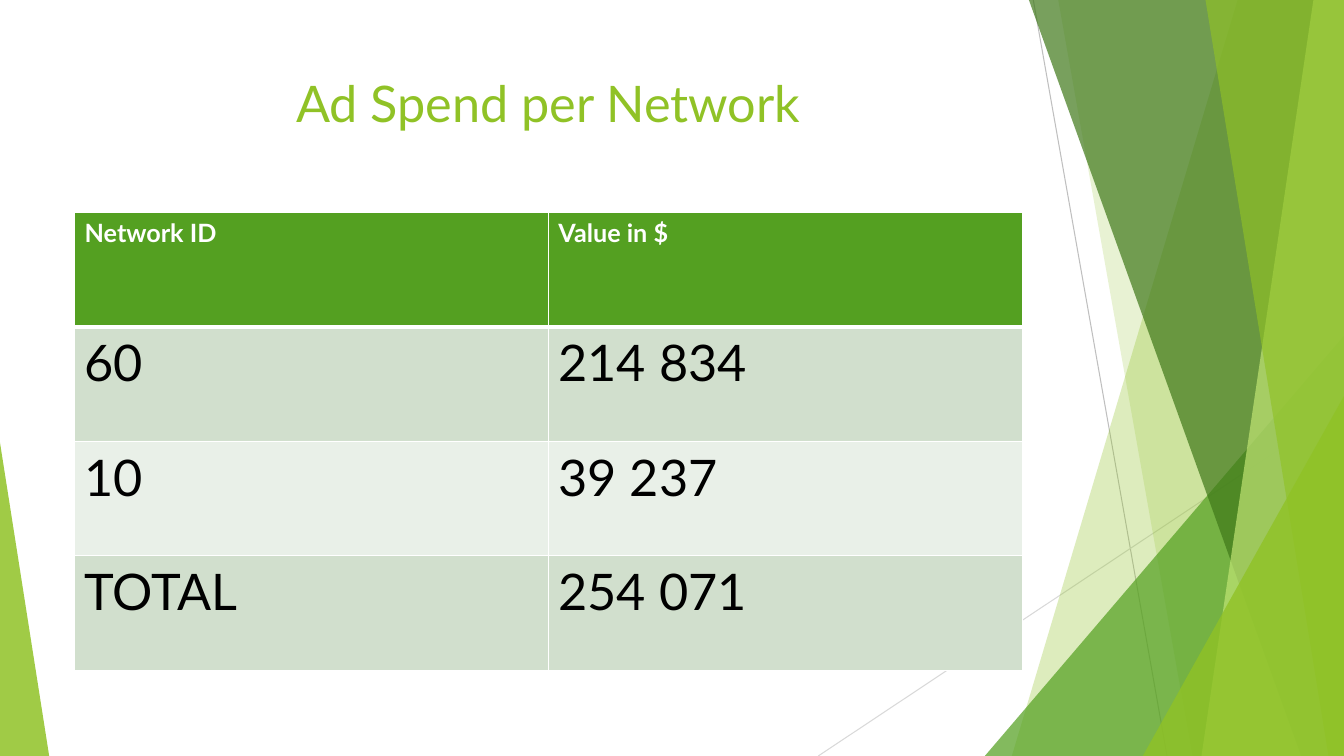
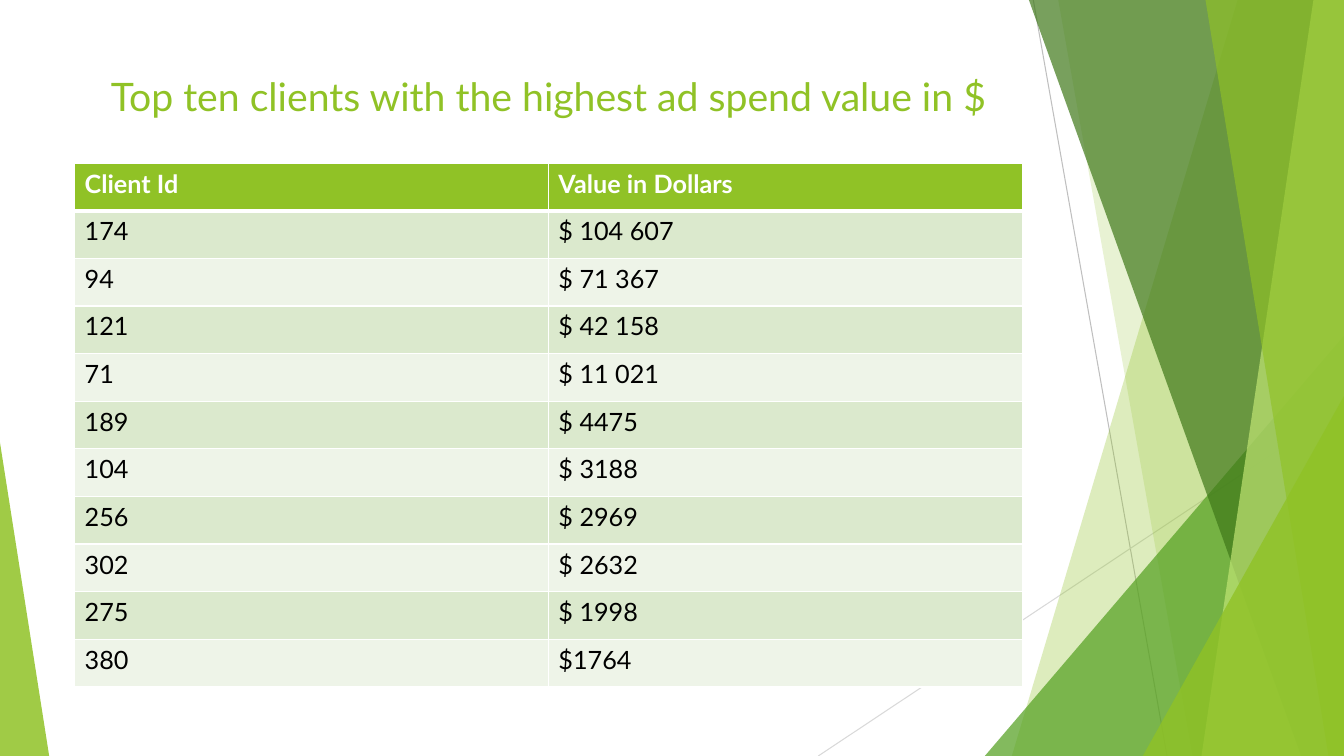
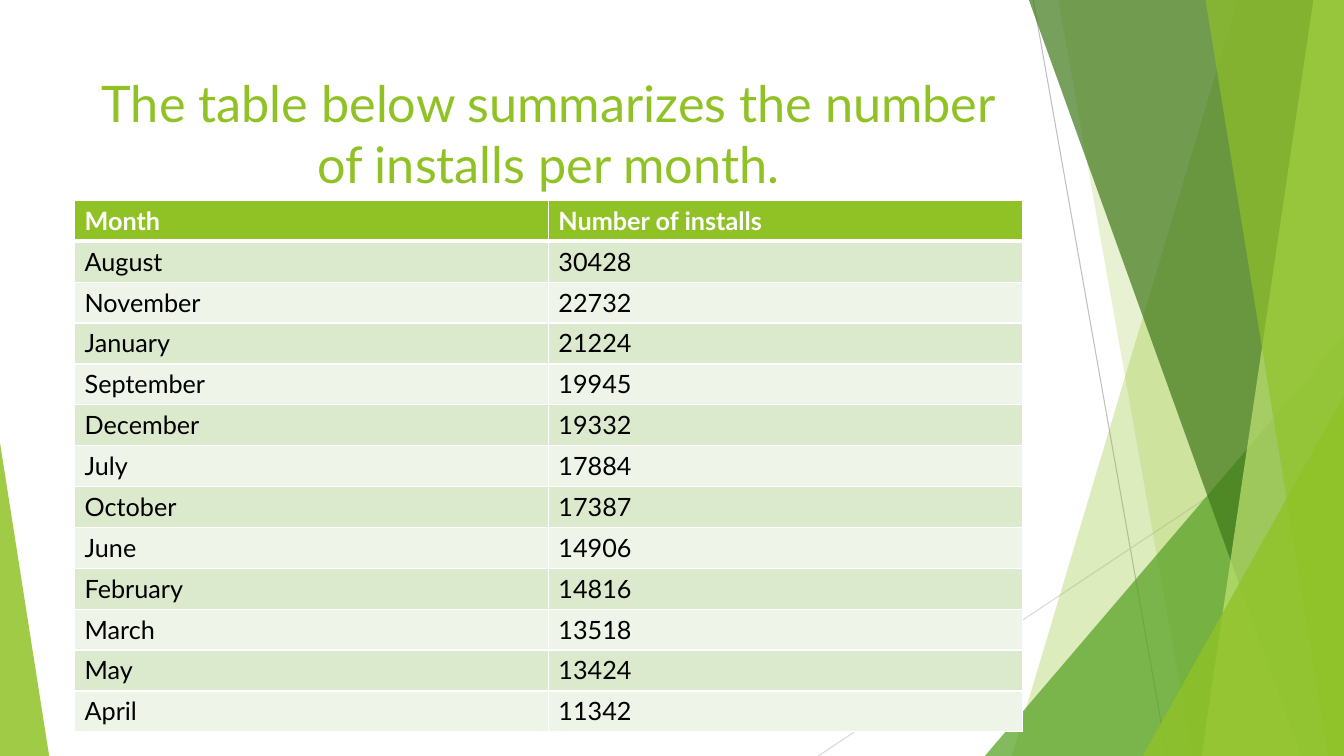
from lxml.etree import SubElement
from pptx import Presentation
from pptx.dml.color import RGBColor
from pptx.enum.shapes import MSO_CONNECTOR as Link, MSO_SHAPE as Shape
from pptx.enum.text import PP_ALIGN as Align
from pptx.oxml import parse_xml
from pptx.oxml.ns import nsdecls, qn
from pptx.util import Cm, Pt

FONT = "Lato"
LIME = RGBColor(0x90, 0xC2, 0x26)
GREEN = RGBColor(0x54, 0xA0, 0x21)
FOREST = RGBColor(0x3F, 0x78, 0x19)
PALE = RGBColor(0xC0, 0xE4, 0x74)
GREY = RGBColor(0xBF, 0xBF, 0xBF)
SILVER = RGBColor(0xD9, 0xD9, 0xD9)
WHITE = RGBColor(0xFF, 0xFF, 0xFF)
BLACK = RGBColor(0, 0, 0)
# Header fill, then the two alternating row fills
MOSS = (GREEN, RGBColor(0xD1, 0xDF, 0xCD), RGBColor(0xE9, 0xF0, 0xE8))
LEAF = (LIME, RGBColor(0xDB, 0xE9, 0xCD), RGBColor(0xEE, 0xF4, 0xE8))

# All lengths below are in centimetres
WIDE, HIGH = 33.87, 19.05
LEFT, SPAN, TITLE_TOP = 1.88, 23.88, 1.7

SLIDES = [
    {"title": "Ad Spend per Network", "size": 36, "drop": 3.66,
     "top": 5.36, "height": 11.53, "body": 36, "fills": MOSS,
     "rows": [("Network ID", "Value in $"), ("60", "214 834"),
              ("10", "39 237"), ("TOTAL", "254 071")]},
    {"title": "Top ten clients with the highest ad spend value in $",
     "size": 28, "drop": 2.44,
     "top": 4.11, "height": 13.21, "body": 18, "fills": LEAF,
     "rows": [("Client Id", "Value in Dollars"), ("174", "$ 104 607"),
              ("94", "$ 71 367"), ("121", "$ 42 158"), ("71", "$ 11 021"),
              ("189", "$ 4475"), ("104", "$ 3188"), ("256", "$ 2969"),
              ("302", "$ 2632"), ("275", "$ 1998"), ("380", "$1764")]},
    {"title": "The table below summarizes the number of installs per month.",
     "size": 36, "drop": 3.66,
     "top": 5.05, "height": 13.39, "body": 18, "fills": LEAF,
     "rows": [("Month", "Number of installs"), ("August", "30428"),
              ("November", "22732"), ("January", "21224"),
              ("September", "19945"), ("December", "19332"),
              ("July", "17884"), ("October", "17387"), ("June", "14906"),
              ("February", "14816"), ("March", "13518"), ("May", "13424"),
              ("April", "11342")]},
]

# Start x, start y, end x, end y, colour
RAYS = [(26.04, 0, 29.41, HIGH, GREY), (WIDE, 10.24, 20.62, HIGH, SILVER)]
# Bands run to the right edge: top x, bottom x, colour, opacity
# Wedges stand on the bottom edge: left, width, top, peak, colour, opacity
FACETS = [
    ("band", 31.19, 25.5, LIME, 30),
    ("band", 26.67, 30.05, LIME, 20),
    ("wedge", 24.82, 9.05, 8.46, 1, GREEN, 72),
    ("band", 25.93, 32.79, FOREST, 70),
    ("band", 33.1, 30.28, PALE, 70),
    ("band", 30.38, 33.48, LIME, 65),
    ("wedge", 28.8, 5.07, 9.98, 1, LIME, 80),
    ("wedge", 0, 1.24, 11.15, 0, LIME, 85),
]


def tint(shape, color, alpha):
    """Give a shape a see-through fill without outline or shadow."""
    shape.shadow.inherit = False
    shape.line.fill.background()
    shape.fill.solid()
    shape.fill.fore_color.rgb = color
    tone = shape.fill._xPr.find(qn("a:solidFill"))[0]
    SubElement(tone, qn("a:alpha"), val=str(alpha * 1000))


def add_ray(slide, x1, y1, x2, y2, color):
    """Draw a thin straight line."""
    ray = slide.shapes.add_connector(
        Link.STRAIGHT, Cm(x1), Cm(y1), Cm(x2), Cm(y2))
    ray.line.color.rgb = color
    ray.line.width = Pt(0.75)
    SubElement(ray._element.spPr, qn("a:effectLst"))


def add_band(slide, upper, lower, color, alpha):
    """Draw a slanted band that fills up to the right edge."""
    pen = slide.shapes.build_freeform(Cm(upper), 0)
    pen.add_line_segments([(Cm(WIDE), 0), (Cm(WIDE), Cm(HIGH)),
                           (Cm(lower), Cm(HIGH))])
    tint(pen.convert_to_shape(), color, alpha)


def add_wedge(slide, left, width, top, peak, color, alpha):
    """Draw a right-angled triangle on the bottom edge."""
    wedge = slide.shapes.add_shape(
        Shape.ISOSCELES_TRIANGLE, Cm(left), Cm(top), Cm(width), Cm(HIGH - top))
    wedge.adjustments[0] = peak
    tint(wedge, color, alpha)


def add_decor(slide):
    """Draw the lines and facets shared by every slide."""
    for ray in RAYS:
        add_ray(slide, *ray)
    makers = {"band": add_band, "wedge": add_wedge}
    for kind, *spec_row in FACETS:
        makers[kind](slide, *spec_row)


def style(par, size, color, bold=False):
    """Set the font of a paragraph."""
    font = par.font
    font.name, font.size, font.bold = FONT, Pt(size), bold
    font.color.rgb = color


def add_title(slide, text, size, drop):
    """Add the centred slide title."""
    box = slide.shapes.add_textbox(
        Cm(LEFT), Cm(TITLE_TOP), Cm(SPAN), Cm(drop))
    box.text_frame.word_wrap = True
    par = box.text_frame.paragraphs[0]
    par.text, par.alignment = text, Align.CENTER
    style(par, size, LIME)


def add_edges(cell, top, bottom):
    """Draw white cell borders; top and bottom widths are in points."""
    props = cell._tc.get_or_add_tcPr()
    for i, (side, width) in enumerate(
            [("L", 1), ("R", 1), ("T", top), ("B", bottom)]):
        props.insert(i, parse_xml(
            f'<a:ln{side} {nsdecls("a")} w="{Pt(width)}"><a:solidFill>'
            f'<a:srgbClr val="{WHITE}"/></a:solidFill></a:ln{side}>'))


def add_grid(slide, rows, top, height, body, fills):
    """Add a table with a header and alternating row fills."""
    count, wide = len(rows), len(rows[0])
    grid = slide.shapes.add_table(
        count, wide, Cm(LEFT), Cm(top), Cm(SPAN), Cm(height)).table
    for r, row in enumerate(rows):
        head = r == 0
        grid.rows[r].height = Cm(height / count)
        for c, text in enumerate(row):
            cell = grid.cell(r, c)
            cell.text = text
            cell.fill.solid()
            cell.fill.fore_color.rgb = fills[0 if head else 2 - r % 2]
            add_edges(cell, 3 if r == 1 else 1, 3 if head else 1)
            style(cell.text_frame.paragraphs[0], 18 if head else body,
                  WHITE if head else BLACK, head)


def build():
    """Build and save the deck."""
    deck = Presentation()
    deck.slide_width, deck.slide_height = Cm(WIDE), Cm(HIGH)
    for page in SLIDES:
        slide = deck.slides.add_slide(deck.slide_layouts[6])
        add_decor(slide)
        add_title(slide, page["title"], page["size"], page["drop"])
        add_grid(slide, page["rows"], page["top"], page["height"],
                 page["body"], page["fills"])
    deck.save("out.pptx")


build()
